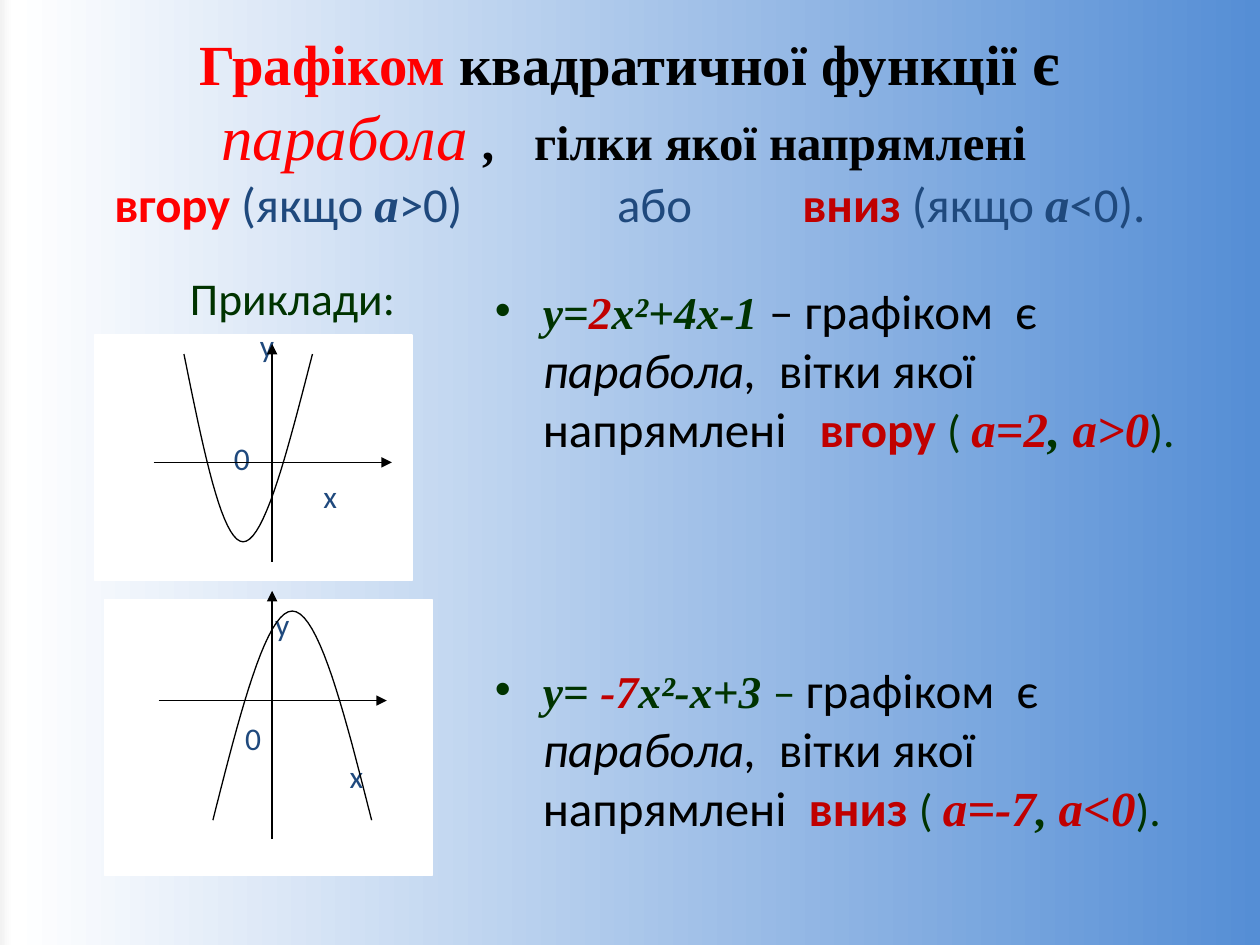
from copy import deepcopy

from lxml.etree import SubElement
from pptx import Presentation
from pptx.dml.color import RGBColor
from pptx.enum.shapes import MSO_CONNECTOR, MSO_SHAPE
from pptx.enum.text import MSO_ANCHOR, PP_ALIGN
from pptx.oxml.ns import qn
from pptx.util import Inches, Pt

COLORS = {
    "black": "000000", "white": "FFFFFF", "red": "FF0000", "dark_red": "C00000",
    "green": "003300", "navy": "1F497D", "pale": "F2F2F2", "blue": "558ED5",
}
SERIF = "Times New Roman"
LABEL_LINE = 0.3
CURVE_STEPS = 20


def color(name):
    return RGBColor.from_string(COLORS[name])


def add_run(paragraph, text, size=28, font="Calibri", ink="black", bold=False, italic=False):
    run = paragraph.add_run()
    run.text = text
    run.font.size = Pt(size)
    run.font.name = font
    run.font.bold = bold
    run.font.italic = italic
    run.font.color.rgb = color(ink)


def add_text_box(slide, left, top, width, height, anchor=MSO_ANCHOR.TOP):
    frame = slide.shapes.add_textbox(
        Inches(left), Inches(top), Inches(width), Inches(height)).text_frame
    frame.word_wrap = True
    frame.vertical_anchor = anchor
    return frame


def set_tabs(paragraph, positions):
    tab_list = SubElement(paragraph._p.get_or_add_pPr(), qn("a:tabLst"))
    for position in positions:
        SubElement(tab_list, qn("a:tab"), pos=str(Inches(position)), algn="l")


def set_bullet(paragraph):
    properties = paragraph._p.get_or_add_pPr()
    properties.set("marL", str(Inches(0.38)))
    properties.set("indent", str(Inches(-0.38)))
    SubElement(properties, qn("a:buFont"), typeface="Arial")
    SubElement(properties, qn("a:buChar"), char="•")


def set_background(slide):
    fill = slide.background.fill
    fill.gradient()
    fill.gradient_angle = 0
    stop_list = next(slide._element.iter(qn("a:gsLst")))
    stop_list.insert(1, deepcopy(stop_list[0]))
    stops = [(0, "pale"), (0.01, "white"), (1, "blue")]
    for stop, (position, name) in zip(fill.gradient_stops, stops):
        stop.position = position
        stop.color.rgb = color(name)


def add_title(slide):
    frame = add_text_box(slide, 0.5, 0.3, 9, 1.42, MSO_ANCHOR.MIDDLE)
    first = frame.paragraphs[0]
    first.alignment = PP_ALIGN.CENTER
    add_run(first, "Графіком ", size=32.4, font=SERIF, ink="red", bold=True)
    add_run(first, "квадратичної функції", size=32.4, font=SERIF, bold=True)
    add_run(first, " є", size=36, font=SERIF, bold=True)

    second = frame.add_paragraph()
    set_tabs(second, [1.16, 3.64])
    add_run(second, "\tпарабола ", size=36, font=SERIF, ink="red", italic=True)
    add_run(second, ",\t", size=28.8, font=SERIF, bold=True, italic=True)
    add_run(second, "гілки якої напрямлені", size=27.9, font=SERIF, bold=True)

    third = frame.add_paragraph()
    set_tabs(third, [0.31, 4.3, 5.77])
    conditions = [("\tвгору ", "red", ">0)\tабо\t"), ("вниз ", "dark_red", "<0).")]
    for direction, ink, ending in conditions:
        add_run(third, direction, size=27.9, ink=ink, bold=True)
        add_run(third, "(якщо ", size=27.9, ink="navy")
        add_run(third, "а", size=27.9, font=SERIF, ink="navy", bold=True, italic=True)
        add_run(third, ending, size=27.9, ink="navy")


def add_example(paragraph, formula, direction, value, sign, gap, dash_ink, mark_size):
    set_bullet(paragraph)
    strong = dict(font=SERIF, bold=True, italic=True)
    for text, ink in zip(formula, ["green", "dark_red", "green"]):
        add_run(paragraph, text, size=26, ink=ink, **strong)
    add_run(paragraph, "– ", size=mark_size, ink=dash_ink)
    add_run(paragraph, "графіком  є ")
    add_run(paragraph, "парабола,  ", italic=True)
    add_run(paragraph, "вітки якої напрямлені" + gap)
    add_run(paragraph, direction, ink="dark_red", bold=True)
    add_run(paragraph, "( ", size=26, ink="green")
    add_run(paragraph, value, ink="dark_red", **strong)
    add_run(paragraph, ", ", size=mark_size, ink="green", **strong)
    add_run(paragraph, sign, ink="dark_red", **strong)
    add_run(paragraph, ").", size=26, ink="green")


def add_examples(slide):
    heading = add_text_box(slide, 1.41, 2.09, 2.33, 0.6).paragraphs[0]
    add_run(heading, "Приклади:", size=26, ink="green")

    frame = add_text_box(slide, 3.83, 2.18, 5.7, 4.5)
    add_example(frame.paragraphs[0], ["у=", "2", "х²+4х-1 "], "вгору ",
                "а=2", "а>0", "   ", "black", 28)
    second = frame.add_paragraph()
    second.space_before = Pt(115.5)
    add_example(second, ["у= ", "-7", "х²-х+3 "], "вниз ",
                "а=-7", "а<0", "  ", "green", 26)


def add_panel(slide, left, top, width, height, labels):
    panel = slide.shapes.add_shape(
        MSO_SHAPE.RECTANGLE, Inches(left), Inches(top), Inches(width), Inches(height))
    panel.shadow.inherit = False
    panel.fill.solid()
    panel.fill.fore_color.rgb = color("white")
    panel.line.color.rgb = color("white")
    panel.line.width = Pt(0.75)
    for text, center, row in labels:
        middle = top + height / 2 + row * LABEL_LINE
        frame = add_text_box(slide, center - 0.2, middle - 0.2, 0.4, 0.4, MSO_ANCHOR.MIDDLE)
        frame.paragraphs[0].alignment = PP_ALIGN.CENTER
        add_run(frame.paragraphs[0], text, size=18, ink="navy")


def add_axis(slide, start, end):
    axis = slide.shapes.add_connector(
        MSO_CONNECTOR.STRAIGHT, *[Inches(value) for value in (*start, *end)])
    axis.line.color.rgb = color("black")
    axis.line.width = Pt(0.75)
    SubElement(axis.line._get_or_add_ln(), qn("a:tailEnd"), type="triangle")
    SubElement(axis._element.spPr, qn("a:effectLst"))


def bezier_point(controls, t):
    weights = [(1 - t) ** 3, 3 * t * (1 - t) ** 2, 3 * t ** 2 * (1 - t), t ** 3]
    return tuple(Inches(sum(w * point[axis] for w, point in zip(weights, controls)))
                 for axis in (0, 1))


def add_curve(slide, controls):
    points = [bezier_point(controls[start:start + 4], step / CURVE_STEPS)
              for start in (0, 3) for step in range(CURVE_STEPS + 1)]
    builder = slide.shapes.build_freeform(*points[0], scale=1.0)
    builder.add_line_segments(points[1:], close=False)
    curve = builder.convert_to_shape()
    curve.shadow.inherit = False
    curve.fill.background()
    curve.line.color.rgb = color("black")
    curve.line.width = Pt(0.75)


def main():
    presentation = Presentation()
    presentation.slide_width = Inches(10)
    presentation.slide_height = Inches(7.5)
    slide = presentation.slides.add_slide(presentation.slide_layouts[6])
    set_background(slide)
    add_title(slide)
    add_examples(slide)

    add_panel(slide, 0.75, 2.66, 2.52, 1.95,
              [("у", 2.12, -3), ("0", 1.92, 0), ("х", 2.62, 1)])
    add_panel(slide, 0.83, 4.76, 2.6, 2.19,
              [("у", 2.24, -3), ("0", 2.01, 0), ("х", 2.83, 1)])

    add_axis(slide, (2.16, 4.46), (2.16, 2.73))
    add_axis(slide, (1.22, 3.67), (3.11, 3.67))
    add_axis(slide, (2.16, 6.66), (2.16, 4.69))
    add_axis(slide, (1.26, 5.56), (3.07, 5.56))

    add_curve(slide, [(1.46, 2.81), (1.61, 3.55), (1.76, 4.3), (1.93, 4.3),
                      (2.1, 4.3), (2.29, 3.55), (2.48, 2.81)])
    add_curve(slide, [(1.69, 6.51), (1.9, 5.68), (2.11, 4.85), (2.32, 4.85),
                      (2.53, 4.85), (2.74, 5.68), (2.95, 6.51)])
    presentation.save("out.pptx")


if __name__ == "__main__":
    main()
